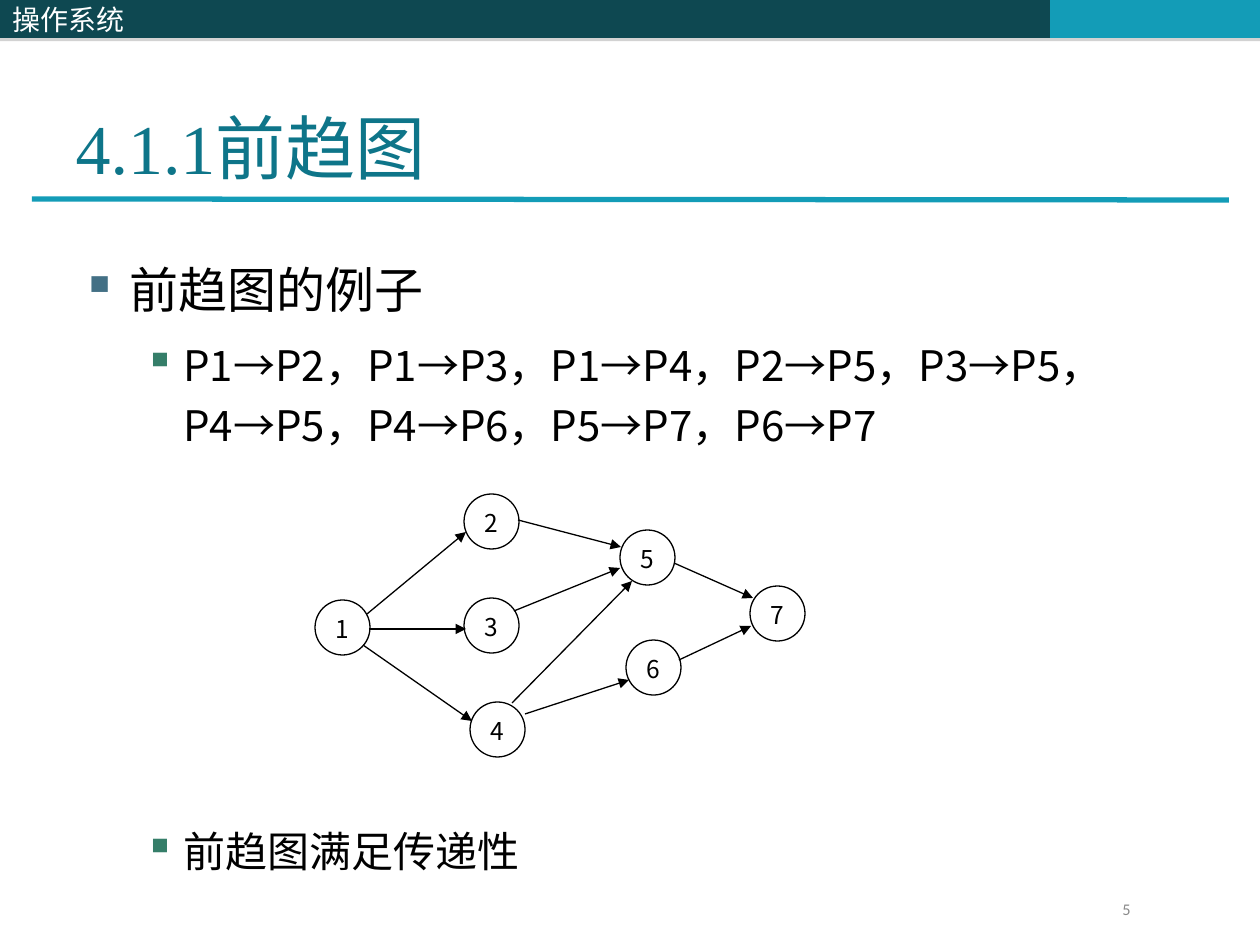
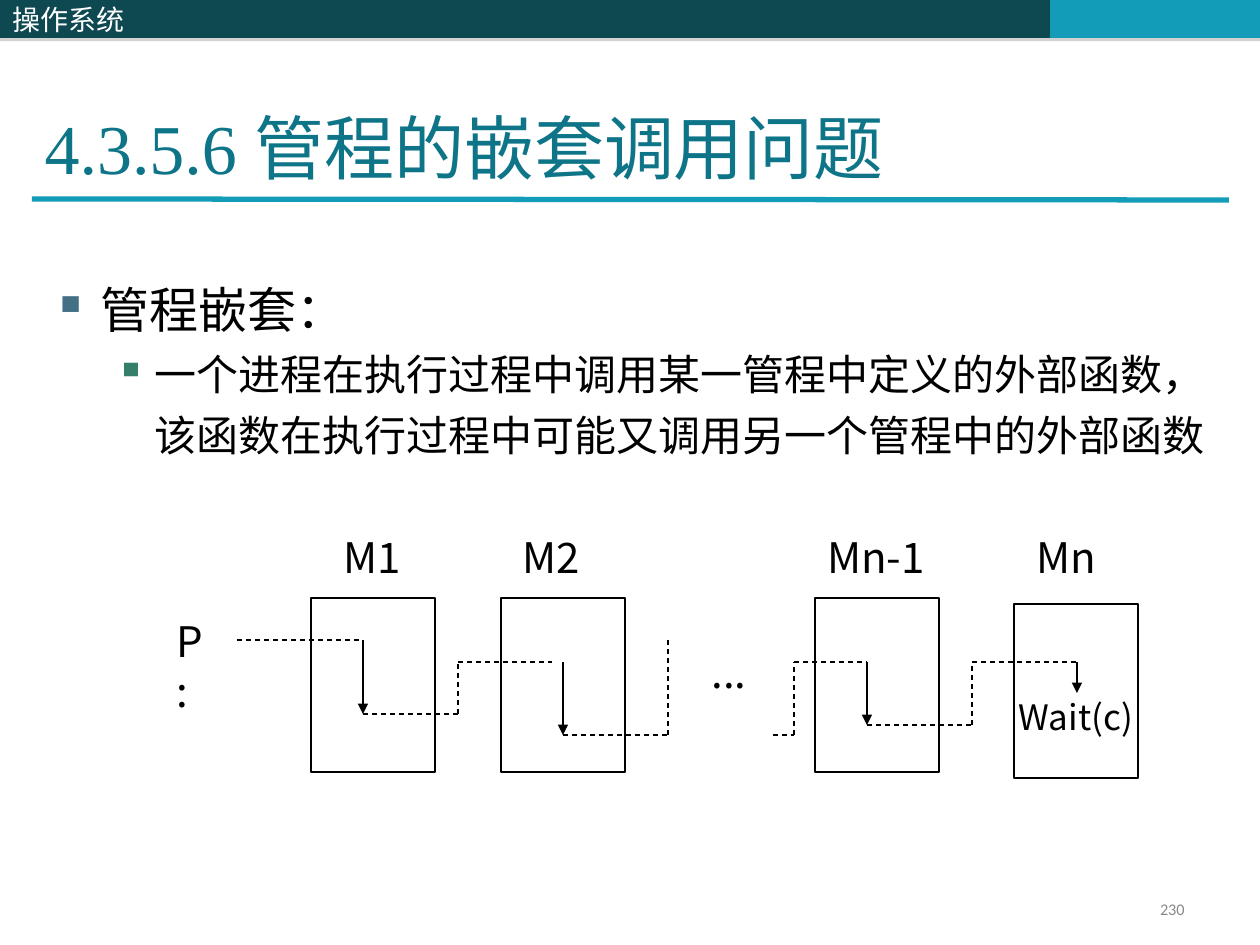
from itertools import pairwise

from lxml import etree
from pptx import Presentation
from pptx import util as u
from pptx.dml.color import RGBColor
from pptx.enum import dml, shapes, text
from pptx.oxml import ns

EMU_PER_PX = 914400 / 126
COLORS = {
    "dark": "0E4851", "teal": "139CB7", "title": "0E7589", "ink": "000000",
    "paper": "FFFFFF", "number": "898989", "shadow": "808080",
    "bullet1": "437085", "bullet2": "357E69",
}
SANS, SERIF, NUMBER_FONT = "Noto Sans CJK SC", "Times New Roman", "Calibri"
# Per bullet level: left margin px, hanging indent px, size pt, bullet colour
LEVELS = [(48, 48, 28, "bullet1"), (102, 39, 24, "bullet2")]
NODE_SIZE = 55
MONITOR_WIDTH, MONITOR_HEIGHT = 124, 174


def px(*lengths):
    return [u.Emu(round(length * EMU_PER_PX)) for length in lengths]


def color(name):
    return RGBColor.from_string(COLORS[name])


def sub(parent, tag, **attributes):
    return etree.SubElement(parent, ns.qn(tag), attributes)


def style(paragraph, size, ink="ink", font=SANS, align=text.PP_ALIGN.LEFT):
    """Format a whole paragraph, with one font for Latin and Chinese."""
    paragraph.alignment = align
    paragraph.font.size = u.Pt(size)
    paragraph.font.color.rgb = color(ink)
    paragraph.font.name = font
    properties = paragraph._p.get_or_add_pPr().get_or_add_defRPr()
    sub(properties, "a:ea", typeface=SANS)


def add_text(slide, box, words, size=24, anchor=text.MSO_ANCHOR.TOP, **look):
    shape = slide.shapes.add_textbox(*px(*box))
    frame = shape.text_frame
    frame.word_wrap = True
    frame.vertical_anchor = anchor
    frame.text = words
    style(frame.paragraphs[0], size, **look)
    return shape


def add_bullets(slide, box, items, space=0):
    """Write (level, words) items; space is the gap in points above each."""
    frame = slide.shapes.add_textbox(*px(*box)).text_frame
    frame.word_wrap = True
    for index, (level, words) in enumerate(items):
        paragraph = frame.add_paragraph() if index else frame.paragraphs[0]
        paragraph.text = words
        paragraph.level = level
        paragraph.line_spacing = 1.2
        if index:
            paragraph.space_before = u.Pt(space)
        margin, hanging, size, bullet = LEVELS[level]
        properties = paragraph._p.get_or_add_pPr()
        properties.set("marL", str(px(margin)[0]))
        properties.set("indent", str(px(-hanging)[0]))
        sub(sub(properties, "a:buClr"), "a:srgbClr", val=COLORS[bullet])
        sub(properties, "a:buChar", char="▪")
        style(paragraph, size)


def add_box(slide, kind, box, fill="paper", line="ink"):
    shape = slide.shapes.add_shape(kind, *px(*box))
    shape.shadow.inherit = False
    shape.fill.solid()
    shape.fill.fore_color.rgb = color(fill)
    if line:
        shape.line.color.rgb = color(line)
        shape.line.width = u.Pt(0.75)
    else:
        shape.line.fill.background()
    return shape


def add_line(slide, start, end, ink="ink", width=0.75):
    connector = slide.shapes.add_connector(
        shapes.MSO_CONNECTOR.STRAIGHT, *px(*start, *end))
    connector.line.color.rgb = color(ink)
    connector.line.width = u.Pt(width)
    sub(connector.element.spPr, "a:effectLst")
    return connector


def add_arrow(slide, start, end):
    connector = add_line(slide, start, end)
    sub(connector.line._get_or_add_ln(), "a:tailEnd", type="triangle")


def add_dashed_path(slide, *points):
    for start, end in pairwise(points):
        add_line(slide, start, end).line.dash_style = dml.MSO_LINE.DASH


def add_band(slide, left, right, fill):
    band = add_box(slide, shapes.MSO_SHAPE.RECTANGLE,
                   (left, 0, right - left, 38), fill, None)
    effects = band.element.spPr.find(ns.qn("a:effectLst"))
    shadow = sub(effects, "a:outerShdw", dist=str(u.Pt(1.8)), dir="5400000",
                 algn="ctr", rotWithShape="0")
    tint = sub(shadow, "a:srgbClr", val=COLORS["shadow"])
    sub(tint, "a:alpha", val="35000")
    return band


def add_frame(slide, layout):
    """Build the bands and title rule, and move them into the layout."""
    course = add_band(slide, 0, 514, "dark")
    course.text_frame.text = "操作系统"
    course.text_frame.vertical_anchor = text.MSO_ANCHOR.MIDDLE
    style(course.text_frame.paragraphs[0], 16, "paper")
    parts = [add_band(slide, 514, 1050, "dark"),
             add_band(slide, 1050, 1260, "teal"),
             add_line(slide, (32, 199), (1229, 200), "teal", 3),
             course]
    for placeholder in list(layout.placeholders):
        if placeholder.placeholder_format.idx != 0:
            placeholder.element.getparent().remove(placeholder.element)
    for part in parts:
        layout.shapes.element.append(part.element)


def add_title(slide, left, words):
    title = slide.shapes.title
    title.left, title.top, title.width, title.height = px(left, 38, 1134, 157)
    frame = title.text_frame
    frame.text = words
    frame.auto_size = text.MSO_AUTO_SIZE.NONE
    frame.vertical_anchor = text.MSO_ANCHOR.BOTTOM
    style(frame.paragraphs[0], 40, "title", SERIF)


def add_page_number(slide, number, right):
    add_text(slide, (right - 294, 892, 294, 34), number, 9.3,
             text.MSO_ANCHOR.MIDDLE, ink="number", font=NUMBER_FONT,
             align=text.PP_ALIGN.RIGHT)


def add_node(slide, left, top, label):
    node = add_box(slide, shapes.MSO_SHAPE.OVAL,
                   (left, top, NODE_SIZE, NODE_SIZE))
    frame = node.text_frame
    frame.word_wrap = False
    frame.vertical_anchor = text.MSO_ANCHOR.TOP
    frame.margin_left = frame.margin_right = 0
    frame.text = label
    style(frame.paragraphs[0], 14, align=text.PP_ALIGN.CENTER)


def add_monitor(slide, left, top):
    return add_box(slide, shapes.MSO_SHAPE.RECTANGLE,
                   (left, top, MONITOR_WIDTH, MONITOR_HEIGHT))


def build_precedence_graph(slide):
    add_title(slide, 63, "4.1.1前趋图")
    add_bullets(slide, (69, 242, 1164, 220), [
        (0, "前趋图的例子"),
        (1, "P1→P2，P1→P3，P1→P4，P2→P5，P3→P5，P4→P5，P4→P6，P5→P7，P6→P7"),
    ], space=6)
    add_bullets(slide, (69, 809, 1164, 80), [(1, "前趋图满足传递性")])
    nodes = {"1": (315, 600), "2": (464, 494), "3": (464, 598),
             "4": (470, 702), "5": (620, 530), "6": (626, 640),
             "7": (750, 586)}
    for label, (left, top) in nodes.items():
        add_node(slide, left, top, label)
    edges = [
        ((367, 614), (466, 532)), ((369, 629), (466, 629)),
        ((363, 645), (472, 721)), ((525, 714), (629, 680)),
        ((514, 611), (620, 568)), ((518, 520), (621, 547)),
        ((674, 563), (753, 598)), ((679, 660), (751, 626)),
        ((512, 703), (632, 581)),
    ]
    for start, end in edges:
        add_arrow(slide, start, end)
    add_page_number(slide, "5", 1143)


def build_nested_monitors(slide):
    add_title(slide, 32, "4.3.5.6 管程的嵌套调用问题")
    add_bullets(slide, (40, 262, 1181, 220), [
        (0, "管程嵌套："),
        (1, "一个进程在执行过程中调用某一管程中定义的外部函数，"
            "该函数在执行过程中可能又调用另一个管程中的外部函数"),
    ])
    for left in (311, 501, 815):
        add_monitor(slide, left, 598)
    last_monitor = add_monitor(slide, 1014, 604)
    frame = last_monitor.text_frame
    frame.word_wrap = False
    frame.margin_top = px(58)[0]
    frame.vertical_anchor = text.MSO_ANCHOR.MIDDLE
    frame.text = "Wait(c)"
    style(frame.paragraphs[0], 20, align=text.PP_ALIGN.CENTER)

    for label, left, width in (("M1", 331, 89), ("M2", 510, 95),
                               ("Mn-1", 815, 136), ("Mn", 1024, 105)):
        add_text(slide, (left, 525, width, 63), label)
    add_text(slide, (164, 609, 63, 113), "P:")
    add_text(slide, (699, 640, 73, 63), "...")

    add_dashed_path(slide, (237, 640), (363, 640))
    add_dashed_path(slide, (363, 714), (458, 714), (458, 662), (552, 662))
    add_dashed_path(slide, (563, 735), (668, 735), (668, 640))
    add_dashed_path(slide, (773, 735), (794, 735), (794, 662), (867, 662))
    add_dashed_path(slide, (867, 725), (972, 725), (972, 662), (1077, 662))
    for x, top, bottom in ((363, 640, 714), (563, 662, 735),
                           (867, 662, 725), (1077, 662, 693)):
        add_arrow(slide, (x, top), (x, bottom))
    add_page_number(slide, "230", 1197)


def main():
    presentation = Presentation()
    presentation.slide_width, presentation.slide_height = px(1260, 945)
    layout = presentation.slide_layouts.get_by_name("Title Only")
    graph_slide = presentation.slides.add_slide(layout)
    add_frame(graph_slide, layout)
    build_precedence_graph(graph_slide)
    build_nested_monitors(presentation.slides.add_slide(layout))
    presentation.save("out.pptx")


if __name__ == "__main__":
    main()
